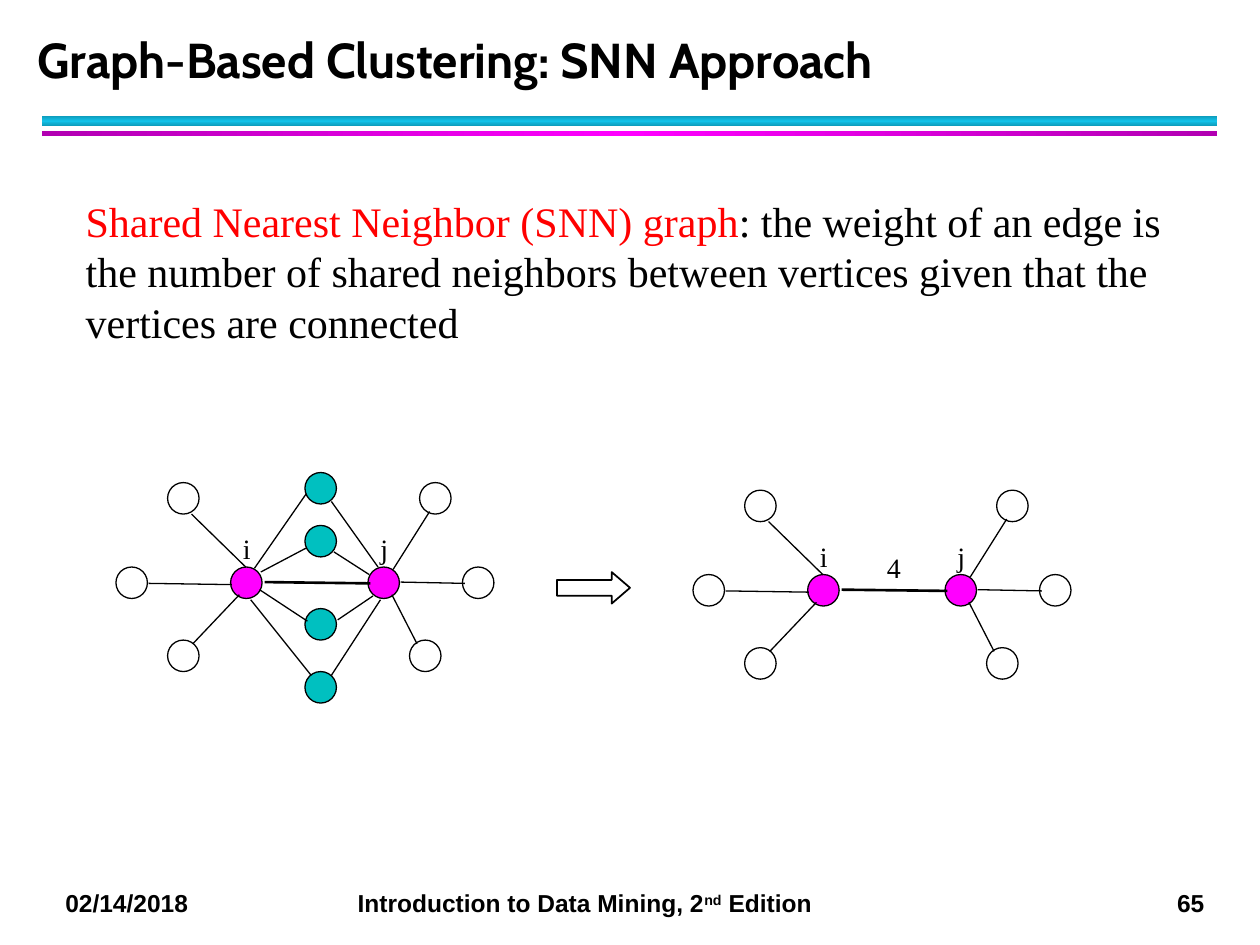
import copy
from dataclasses import dataclass

import pptx
import pptx.dml.color
import pptx.enum.shapes
import pptx.enum.text
import pptx.oxml.ns
import pptx.util
from lxml import etree

Inches = pptx.util.Inches
Pt = pptx.util.Pt
qn = pptx.oxml.ns.qn
ShapeType = pptx.enum.shapes.MSO_SHAPE


@dataclass(frozen=True)
class Theme:
    black: str = "000000"
    red: str = "FF0000"
    hub: str = "FF00FF"
    shared: str = "00C0C0"
    cyan_band: tuple = ("0E9BBA", "12C2E9", "0E9BBA")
    magenta_band: tuple = ("B200B2", "FF00FF", "B200B2")
    title_font: str = "Cabin"
    body_font: str = "Times New Roman"
    footer_font: str = "Arial"
    title_size: int = 28
    body_size: int = 24
    label_size: int = 16
    footer_size: int = 14


THEME = Theme()
NODE_SIZE = 0.25
THIN, THICK = 0.75, 1.5
SNN_OFFSET = (4.58, 0.06)

HUBS = {"i": (1.83, 4.5), "j": (2.92, 4.5)}
SHARED_NEIGHBORS = [(2.42, top) for top in (3.75, 4.17, 4.83, 5.33)]
OTHER_NEIGHBORS = [
    (1.33, 5.08), (0.92, 4.5), (1.33, 3.83),
    (3.33, 3.83), (3.25, 5.08), (3.67, 4.5),
]
HUB_EDGE = (2.1, 4.62, 2.94, 4.63)
OTHER_EDGES = [
    (1.53, 5.11, 1.9, 4.72), (1.18, 4.63, 1.84, 4.64), (1.52, 4.08, 1.95, 4.5),
    (3.18, 4.62, 3.69, 4.63), (3.31, 5.11, 3.11, 4.72), (3.12, 4.52, 3.41, 4.06),
]
SHARED_EDGES = [
    (2.07, 4.54, 2.43, 4.35), (2.06, 4.68, 2.44, 4.93),
    (2.47, 5.36, 1.99, 4.76), (2.02, 4.51, 2.43, 3.92),
    (2.68, 4.92, 2.96, 4.73), (2.63, 5.36, 3.02, 4.76),
    (2.93, 4.56, 2.65, 4.38), (3.0, 4.5, 2.63, 3.98),
]


def rgb(color):
    return pptx.dml.color.RGBColor.from_string(color)


def write_text(paragraph, text, *, size, font, color=THEME.black, bold=False, baseline=None):
    run = paragraph.add_run()
    run.text = text
    run.font.size = Pt(size)
    run.font.name = font
    run.font.bold = bold
    run.font.color.rgb = rgb(color)
    if baseline:
        run.font._element.set("baseline", str(baseline))


def prepare_frame(shape, left, top, width, height, anchor=pptx.enum.text.MSO_ANCHOR.TOP):
    shape.left, shape.top = Inches(left), Inches(top)
    shape.width, shape.height = Inches(width), Inches(height)
    frame = shape.text_frame
    frame.word_wrap = True
    frame.auto_size = pptx.enum.text.MSO_AUTO_SIZE.NONE
    frame.vertical_anchor = anchor
    paragraph = frame.paragraphs[0]
    paragraph.alignment = pptx.enum.text.PP_ALIGN.LEFT
    return paragraph


def add_text_box(slide, left, top, width, height, space_before):
    box = slide.shapes.add_textbox(0, 0, 0, 0)
    paragraph = prepare_frame(box, left, top, width, height)
    paragraph.space_before = Pt(space_before)
    return paragraph


def add_outline_shape(slide, kind, left, top, width, height, fill=None, line_width=THIN):
    shape = slide.shapes.add_shape(kind, Inches(left), Inches(top), Inches(width), Inches(height))
    shape.shadow.inherit = False
    if fill:
        shape.fill.solid()
        shape.fill.fore_color.rgb = rgb(fill)
    else:
        shape.fill.background()
    shape.line.color.rgb = rgb(THEME.black)
    shape.line.width = Pt(line_width)
    return shape


def add_band(slide, top, height, colors, angle):
    band = add_outline_shape(slide, ShapeType.RECTANGLE, 0.33, top, 9.33, height)
    band.line.fill.background()
    band.fill.gradient()
    band.fill.gradient_angle = angle
    stop_list = band._element.spPr.find(".//" + qn("a:gsLst"))
    stop_list.insert(1, copy.deepcopy(stop_list[0]))
    for stop, color, position in zip(band.fill.gradient_stops, colors, (0, 0.5, 1)):
        stop.color.rgb = rgb(color)
        stop.position = position


def add_edge(slide, start_x, start_y, end_x, end_y, width=THIN):
    edge = slide.shapes.add_connector(
        pptx.enum.shapes.MSO_CONNECTOR.STRAIGHT,
        Inches(start_x), Inches(start_y), Inches(end_x), Inches(end_y),
    )
    edge.line.color.rgb = rgb(THEME.black)
    edge.line.width = Pt(width)
    etree.SubElement(edge._element.spPr, qn("a:effectLst"))


def add_label(slide, text, left, top, width=0.33):
    paragraph = add_text_box(slide, left, top, width, 0.36, space_before=8)
    write_text(paragraph, text, size=THEME.label_size, font=THEME.body_font)


def add_graph(slide, offset=(0, 0), with_shared=True):
    dx, dy = offset
    nodes = [(place, THEME.hub) for place in HUBS.values()]
    nodes += [(place, None) for place in OTHER_NEIGHBORS]
    edges = list(OTHER_EDGES)
    if with_shared:
        nodes += [(place, THEME.shared) for place in SHARED_NEIGHBORS]
        edges += SHARED_EDGES
    for (left, top), fill in nodes:
        add_outline_shape(slide, ShapeType.OVAL, left + dx, top + dy, NODE_SIZE, NODE_SIZE, fill)
    for name, (left, top) in HUBS.items():
        add_label(slide, name, left + dx, top + dy - 0.33)
    for edge, width in [(edge, THIN) for edge in edges] + [(HUB_EDGE, THICK)]:
        start_x, start_y, end_x, end_y = edge
        add_edge(slide, start_x + dx, start_y + dy, end_x + dx, end_y + dy, width)


def add_title(slide):
    paragraph = prepare_frame(
        slide.shapes.title, 0.2, 0.17, 9.45, 0.58, pptx.enum.text.MSO_ANCHOR.BOTTOM
    )
    paragraph.line_spacing = Pt(36)
    write_text(paragraph, "Graph-Based Clustering: SNN Approach",
               size=THEME.title_size, font=THEME.title_font, bold=True)


def add_definition(slide):
    paragraph = prepare_frame(slide.placeholders[1], 0.58, 1.5, 8.83, 1.3)
    paragraph.space_before = Pt(12)
    properties = paragraph._element.get_or_add_pPr()
    properties.set("marL", "0")
    properties.set("indent", "0")
    etree.SubElement(properties, qn("a:buNone"))
    style = {"size": THEME.body_size, "font": THEME.body_font}
    write_text(paragraph, "Shared Nearest Neighbor (SNN) graph", color=THEME.red, **style)
    write_text(paragraph, ": the weight of an edge is the number of shared neighbors between "
               "vertices given that the vertices are connected", **style)


def add_footer(slide):
    paragraph = add_text_box(slide, 0.42, 7, 9.33, 0.4, space_before=7)
    tab_list = etree.SubElement(paragraph._element.get_or_add_pPr(), qn("a:tabLst"))
    for position, alignment in ((2.32, "l"), (9.04, "r")):
        etree.SubElement(tab_list, qn("a:tab"), pos=str(Inches(position)), algn=alignment)
    style = {"size": THEME.footer_size, "font": THEME.footer_font, "bold": True}
    write_text(paragraph, "02/14/2018\tIntroduction to Data Mining, 2", **style)
    write_text(paragraph, "nd", baseline=30000, **style)
    write_text(paragraph, " Edition\t65", **style)


def main():
    presentation = pptx.Presentation()
    presentation.slide_width, presentation.slide_height = Inches(10), Inches(7.5)
    slide = presentation.slides.add_slide(presentation.slide_layouts[1])
    add_band(slide, 0.92, 0.08, THEME.cyan_band, 90)
    add_band(slide, 1.04, 0.04, THEME.magenta_band, 0)
    add_footer(slide)
    add_graph(slide)
    add_graph(slide, SNN_OFFSET, with_shared=False)
    add_label(slide, "4", 6.94, 4.32, width=0.37)
    add_definition(slide)
    add_title(slide)
    arrow = add_outline_shape(slide, ShapeType.RIGHT_ARROW, 4.42, 4.54, 0.58, 0.25, line_width=1)
    arrow.adjustments[1] = 0.58
    presentation.save("out.pptx")


if __name__ == "__main__":
    main()
